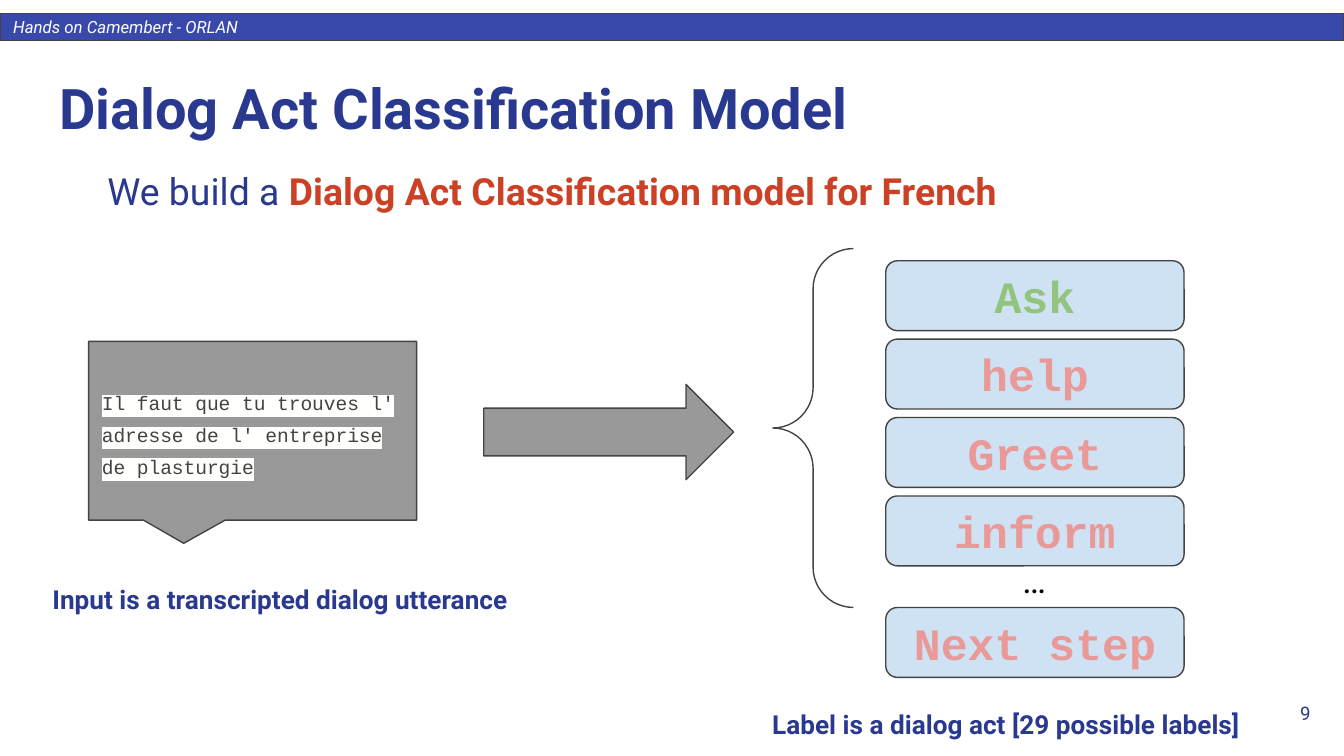
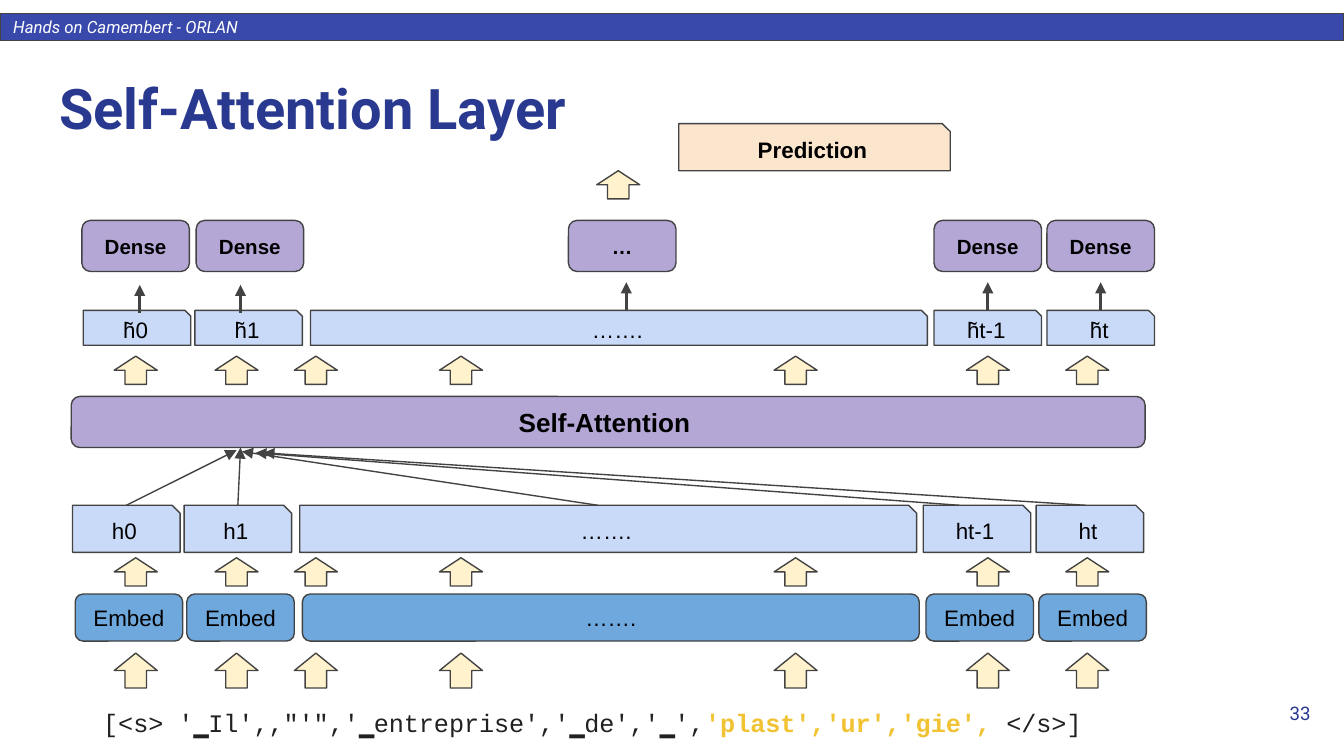
from lxml.etree import SubElement
from pptx import Presentation
from pptx.dml.color import RGBColor
from pptx.enum.shapes import MSO_CONNECTOR, MSO_SHAPE
from pptx.enum.text import MSO_ANCHOR, PP_ALIGN
from pptx.oxml.ns import qn
from pptx.util import Inches, Pt

HUES = {
    "navy": "2A3990", "band": "3949AB", "edge": "434343", "white": "FFFFFF",
    "black": "000000", "ink": "212121", "red": "CC4125", "gold": "F1C232",
    "grey": "999999", "pale": "CFE2F3", "green": "93C47D", "pink": "EA9999",
    "blue": "6FA8DC", "sky": "C9DAF8", "mauve": "B4A7D6", "cream": "FFF2CC",
    "peach": "FCE5CD", "mark": "FFFFFE",
}
HUE = {name: RGBColor.from_string(code) for name, code in HUES.items()}
LEFT, MID, RIGHT = PP_ALIGN.LEFT, PP_ALIGN.CENTER, PP_ALIGN.RIGHT


def box(slide, kind, at, fill=None, text="", size=12, font="Arial",
        hue="black", bold=False, align=MID, anchor=MSO_ANCHOR.MIDDLE):
    """Add a shape, or a text box if kind is None; text is a string or runs."""
    at = [Inches(v) for v in at]
    if kind is None:
        shape = slide.shapes.add_textbox(*at)
    else:
        shape = slide.shapes.add_shape(kind, *at)
        shape.shadow.inherit = False
        shape.line.color.rgb = HUE["edge"]
        shape.line.width = Pt(0.75)
        if fill:
            shape.fill.solid()
            shape.fill.fore_color.rgb = HUE[fill]
        else:
            shape.fill.background()
    if text:
        frame = shape.text_frame
        frame.word_wrap = True
        frame.vertical_anchor = anchor
        frame.margin_left = frame.margin_right = Inches(0.1)
        frame.margin_top = frame.margin_bottom = Inches(0.1)
        para = frame.paragraphs[0]
        para.alignment = align
        para.font.size, para.font.name = Pt(size), font
        para.font.bold = bold
        para.font.color.rgb = HUE[hue]
        if isinstance(text, str):
            para.add_run().text = text
        else:
            for words, tint, thick in text:
                run = para.add_run()
                run.text = words
                run.font.color.rgb = HUE[tint]
                run.font.bold = thick
    return shape


def link(slide, start, end, width, base=None):
    """Draw an arrow, joined to the top of base if given."""
    line = slide.shapes.add_connector(
        MSO_CONNECTOR.STRAIGHT, *[Inches(v) for v in (*start, *end)])
    if base is not None:
        line.begin_connect(base, 0)
    line.line.color.rgb = HUE["edge"]
    line.line.width = Pt(width)
    SubElement(line.line._get_or_add_ln(), qn("a:tailEnd"), type="triangle")
    SubElement(line._element.spPr, qn("a:effectLst"))


# Deck in 16:9
deck = Presentation()
deck.slide_width = Inches(10)
deck.slide_height = Inches(10) * 9 // 16

# Band, title and number of each slide
pages = []
for name, num in (("Dialog Act Classification Model", "9"),
                  ("Self-Attention Layer", "33")):
    page = deck.slides.add_slide(deck.slide_layouts[5])
    pages.append(page)
    band = box(page, MSO_SHAPE.RECTANGLE, (0, 0.1, 10, 0.2), "band",
               "Hands on Camembert - ORLAN", 9, "Roboto", "white", align=LEFT)
    band.text_frame.paragraphs[0].font.italic = True
    title = page.shapes.title
    title.left, title.top = Inches(0.34), Inches(0.45)
    title.width, title.height = Inches(9.32), Inches(0.66)
    frame = title.text_frame
    frame.text = name
    frame.vertical_anchor = MSO_ANCHOR.TOP
    frame.margin_left = frame.margin_top = Inches(0.1)
    frame.margin_right = frame.margin_bottom = Inches(0.1)
    para = frame.paragraphs[0]
    para.alignment = LEFT
    para.font.size, para.font.name, para.font.bold = Pt(30), "Roboto", True
    para.font.color.rgb = HUE["navy"]
    box(page, None, (9.25, 5.09, 0.6, 0.43), None, num, 10, "Roboto",
        "navy", align=RIGHT)
model, layer = pages

# Model slide: lead and input
box(model, None, (0.7, 1.15, 9.09, 1.89), None,
    [("We build a ", "navy", False),
     ("Dialog Act Classification model for French", "red", True)],
    20, "Roboto", align=LEFT, anchor=MSO_ANCHOR.TOP)
bubble = box(model, MSO_SHAPE.ROUNDED_RECTANGULAR_CALLOUT,
             (0.66, 2.54, 2.44, 1.33), "grey",
             "Il faut que tu trouves l' adresse de l' entreprise de plasturgie",
             10.5, "Courier New", "edge", align=LEFT)
for i, value in enumerate((-0.21, 0.63, 0)):
    bubble.adjustments[i] = value
para = bubble.text_frame.paragraphs[0]
para.line_spacing = 1.36
mark = SubElement(para.runs[0].font._element, qn("a:highlight"))
SubElement(mark, qn("a:srgbClr"), val=HUES["mark"])
box(model, MSO_SHAPE.RIGHT_ARROW, (3.6, 2.86, 1.86, 0.71), "grey")

# Labels and brace
brace = box(model, MSO_SHAPE.LEFT_BRACE, (5.75, 1.85, 0.6, 2.67))
brace.adjustments[0] = 0.5
tops = [1.94 + 1.75 / 3 * i for i in range(4)] + [4.52]
for top, act in zip(tops, ("Ask", "help", "Greet", "inform", "Next step")):
    box(model, MSO_SHAPE.ROUNDED_RECTANGLE, (6.59, top, 2.22, 0.52), "pale",
        act, 24, "Courier New", "green" if act == "Ask" else "pink", True)
box(model, None, (7.14, 4.05, 1.11, 0.52), None, "…", 19, "Roboto",
    anchor=MSO_ANCHOR.TOP)
for x, y, note in ((0.06, 4.24, "Input is a transcripted dialog utterance"),
                   (5.46, 5.17, "Label is a dialog act [29 possible labels]")):
    box(model, None, (x, y, 4.05, 0.44), None, note, 14, "Roboto", "navy",
        True, anchor=MSO_ANCHOR.TOP)

# Layer slide: tokens
box(layer, None, (0.67, 1.24, 8.67, 4.35), None,
    [("[<s> '▁Il',,\"'\",'▁entreprise','▁de','▁',", "ink", False),
     ("'plast','ur','gie', ", "gold", True), ("</s>]", "ink", False)],
    13.5, "Courier New", align=LEFT, anchor=MSO_ANCHOR.BOTTOM)

# Rows of embeddings and states
ROUND, SNIP = MSO_SHAPE.ROUNDED_RECTANGLE, MSO_SHAPE.SNIP_1_RECTANGLE
COLS = ((0, 0.8), (0.83, 0.8), (1.69, 4.59), (6.33, 0.8), (7.17, 0.8))
ROWS = (
    (ROUND, 0.56, 4.42, 0.35, "blue",
     ("Embed", "Embed", "…….", "Embed", "Embed")),
    (SNIP, 0.54, 3.76, 0.35, "sky", ("h0", "h1", "…….", "ht-1", "ht")),
    (SNIP, 0.62, 2.31, 0.26, "sky", ("h̃0", "h̃1", "…….", "h̃t-1", "h̃t")),
)
rows = []
for kind, x, y, tall, fill, words in ROWS:
    rows.append([box(layer, kind, (x + dx, y, wide, tall), fill, word)
                 for (dx, wide), word in zip(COLS, words)])
embeds, states, outs = rows

# Block arrows between the rows
for y, tall in ((4.86, 0.26), (4.15, 0.21), (2.65, 0.21)):
    for x in (0.85, 1.6, 2.19, 3.27, 5.76, 7.19, 7.93):
        box(layer, MSO_SHAPE.UP_ARROW, (x, y, 0.32, tall), "cream")
box(layer, MSO_SHAPE.UP_ARROW, (4.44, 1.27, 0.32, 0.21), "cream")

# Attention, dense blocks and prediction
box(layer, ROUND, (0.53, 2.95, 7.99, 0.38), "mauve", "Self-Attention ", 14,
    bold=True)
for x in (0.61, 1.46, 4.23, 6.95, 7.79):
    box(layer, ROUND, (x, 1.64, 0.8, 0.38), "mauve",
        "…" if x == 4.23 else "Dense", 11, bold=True)
box(layer, SNIP, (5.05, 0.92, 2.02, 0.35), "peach", "Prediction", bold=True)

# Thin arrows into attention and dense blocks
for x, end, base in ((0.94, (1.76, 3.35), states[0]),
                     (1.78, (1.79, 3.33), states[1]),
                     (4.45, (1.8, 3.36), None),
                     (7.14, (1.9, 3.37), None),
                     (8.08, (1.96, 3.37), None)):
    link(layer, (x, 3.76), end, 0.75, base)
for x, y, base in ((1.04, 2.33, None), (1.79, 2.33, None), (4.66, 2.31, None),
                   (7.35, 2.31, outs[3]), (8.19, 2.31, outs[4])):
    link(layer, (x, y), (x, y - 0.21), 1.5, base)

deck.save("out.pptx")
